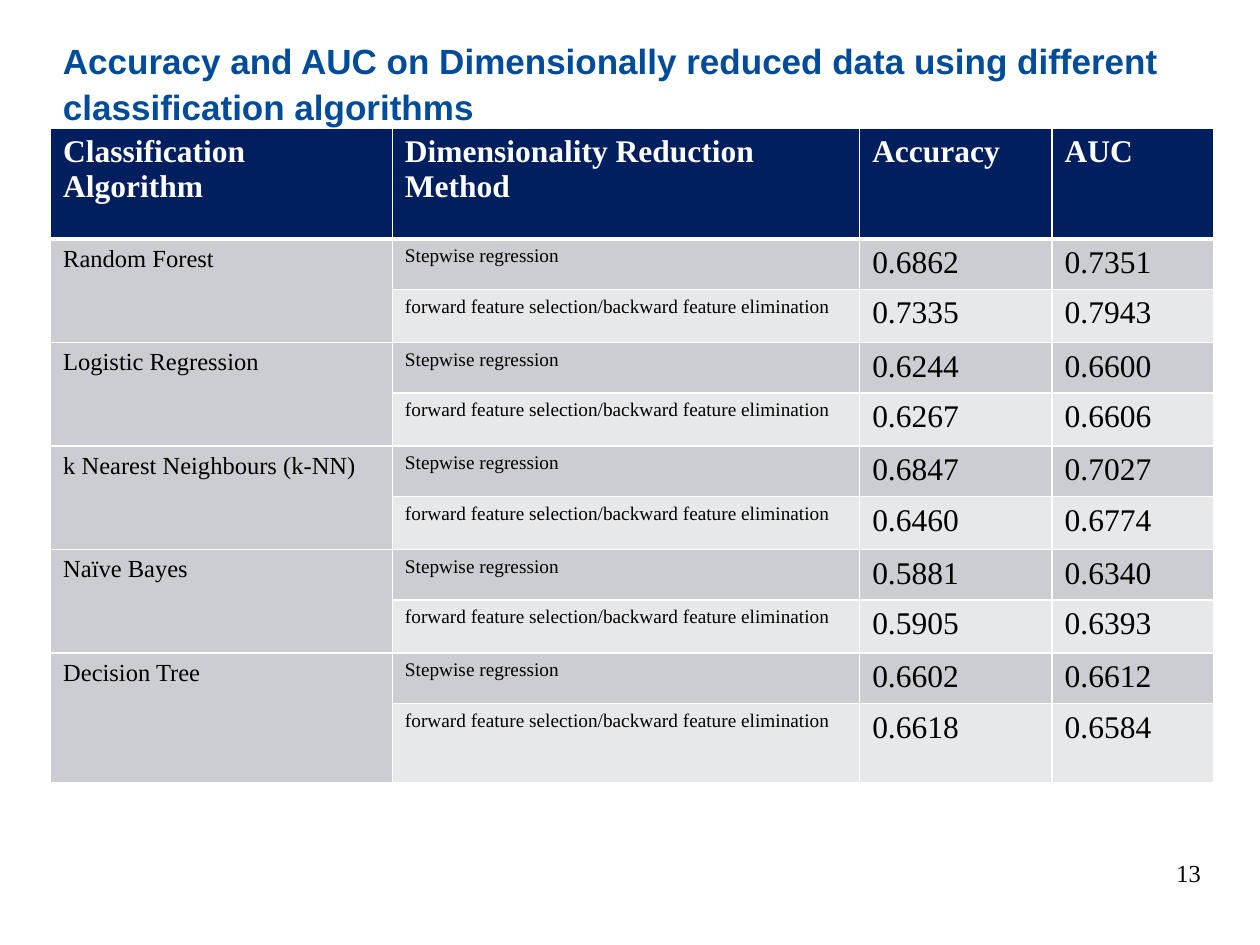
from lxml import etree
from pptx import Presentation
from pptx import util as u
from pptx.dml.color import RGBColor
from pptx.enum import text
from pptx.oxml import ns

COLOURS = {
    "title": "004C9B",
    "header": "011E5E",
    "band_dark": "CCCDD2",
    "band_light": "E7E8EA",
    "white": "FFFFFF",
    "black": "000000",
}
HEADINGS = ["Classification Algorithm", "Dimensionality Reduction Method", "Accuracy", "AUC"]
METHODS = ["Stepwise regression", "forward feature selection/backward feature elimination"]
# Algorithm -> (accuracy, AUC) for each reduction method in turn
RESULTS = {
    "Random Forest": [("0.6862", "0.7351"), ("0.7335", "0.7943")],
    "Logistic Regression": [("0.6244", "0.6600"), ("0.6267", "0.6606")],
    "k Nearest Neighbours (k-NN)": [("0.6847", "0.7027"), ("0.6460", "0.6774")],
    "Naïve Bayes": [("0.5881", "0.6340"), ("0.5905", "0.6393")],
    "Decision Tree": [("0.6602", "0.6612"), ("0.6618", "0.6584")],
}
COLUMN_WIDTHS = [6.89, 9.42, 3.88, 3.26]
BODY_SIZES = [14, 11, 18, 18]
HEADER_HEIGHT, PAIR_HEIGHTS, LAST_HEIGHT = 2.23, [0.98, 1.07], 1.6


class SlideBuilder:
    serif = "Times New Roman"
    sans = "Arial"

    def __init__(self, slide):
        self.slide = slide

    def style(self, paragraph, size, colour, font=None, bold=False):
        for run in paragraph.runs:
            run.font.name = font or self.serif
            run.font.size = u.Pt(size)
            run.font.bold = bold
            run.font.color.rgb = RGBColor.from_string(COLOURS[colour])

    def text_box(self, words, left, top, width, height, anchor=text.MSO_ANCHOR.TOP):
        """Add a wrapped text box and return its paragraph for styling."""
        box = self.slide.shapes.add_textbox(u.Cm(left), u.Cm(top), u.Cm(width), u.Cm(height))
        frame = box.text_frame
        frame.word_wrap = True
        frame.vertical_anchor = anchor
        frame.text = words
        return frame.paragraphs[0]

    def title(self, words):
        heading = self.text_box(words, 1.02, 0.58, 23.45, 2.01)
        heading.line_spacing = u.Pt(26.6)
        self.style(heading, 20, "title", self.sans, bold=True)

    def page_number(self, number):
        page = self.text_box(str(number), 22.58, 17.09, 1.88, 1.02, text.MSO_ANCHOR.MIDDLE)
        page.alignment = text.PP_ALIGN.RIGHT
        self.style(page, 14, "black")

    def borders(self, cell, top=1, bottom=1):
        properties = cell._tc.get_or_add_tcPr()
        for side, points in (("L", 1), ("R", 1), ("T", top), ("B", bottom)):
            line = etree.SubElement(properties, ns.qn(f"a:ln{side}"), w=str(u.Pt(points)))
            fill = etree.SubElement(line, ns.qn("a:solidFill"))
            etree.SubElement(fill, ns.qn("a:srgbClr"), val=COLOURS["white"])

    def cell(self, cell, words, size, fill, colour="black", bold=False, **edges):
        self.borders(cell, **edges)
        cell.fill.solid()
        cell.fill.fore_color.rgb = RGBColor.from_string(COLOURS[fill])
        cell.text = words
        self.style(cell.text_frame.paragraphs[0], size, colour, bold=bold)

    def results_table(self):
        heights = [HEADER_HEIGHT] + PAIR_HEIGHTS * len(RESULTS)
        heights[-1] = LAST_HEIGHT
        table = self.slide.shapes.add_table(
            len(heights), len(HEADINGS), u.Cm(1.02), u.Cm(2.59),
            u.Cm(sum(COLUMN_WIDTHS)), u.Cm(sum(heights))).table
        for column, width in zip(table.columns, COLUMN_WIDTHS):
            column.width = u.Cm(width)
        for row, height in zip(table.rows, heights):
            row.height = u.Cm(height)

        for col, heading in enumerate(HEADINGS):
            self.cell(table.cell(0, col), heading, 18, "header", "white", bold=True, bottom=3)

        for group, (algorithm, scores) in enumerate(RESULTS.items()):
            first = 1 + group * len(METHODS)
            for offset, (method, score) in enumerate(zip(METHODS, scores)):
                row = first + offset
                band = "band_light" if offset else "band_dark"
                values = ["" if offset else algorithm, method, *score]
                for col, (value, size) in enumerate(zip(values, BODY_SIZES)):
                    fill = band if col else "band_dark"
                    self.cell(table.cell(row, col), value, size, fill, top=3 if row == 1 else 1)
            table.cell(first, 0).merge(table.cell(first + len(METHODS) - 1, 0))


def main():
    deck = Presentation()
    deck.slide_width, deck.slide_height = u.Cm(25.4), u.Cm(19.05)
    builder = SlideBuilder(deck.slides.add_slide(deck.slide_layouts[6]))
    builder.title("Accuracy and AUC on Dimensionally reduced data "
                  "using different classification algorithms")
    builder.page_number(13)
    builder.results_table()
    deck.save("out.pptx")


if __name__ == "__main__":
    main()
